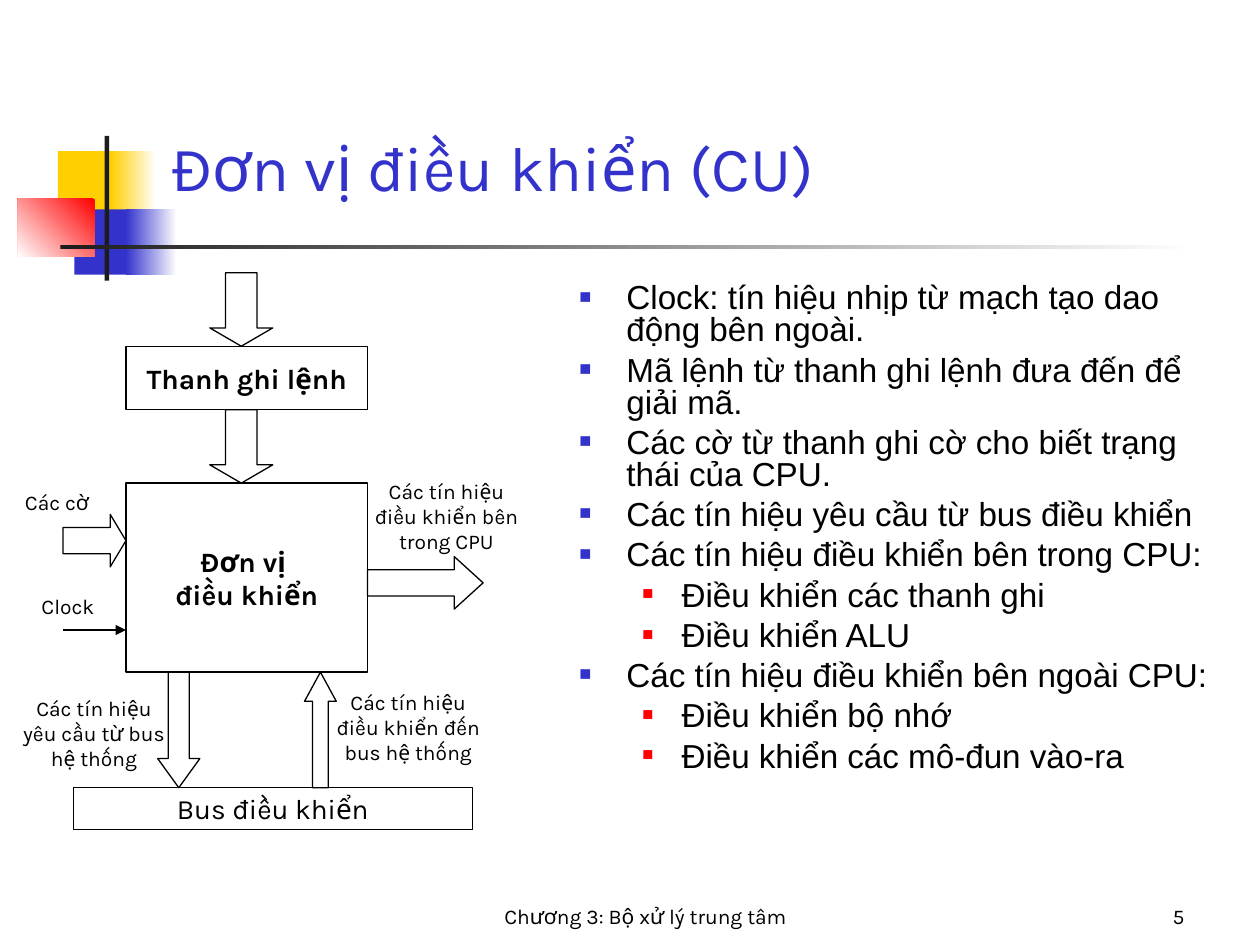
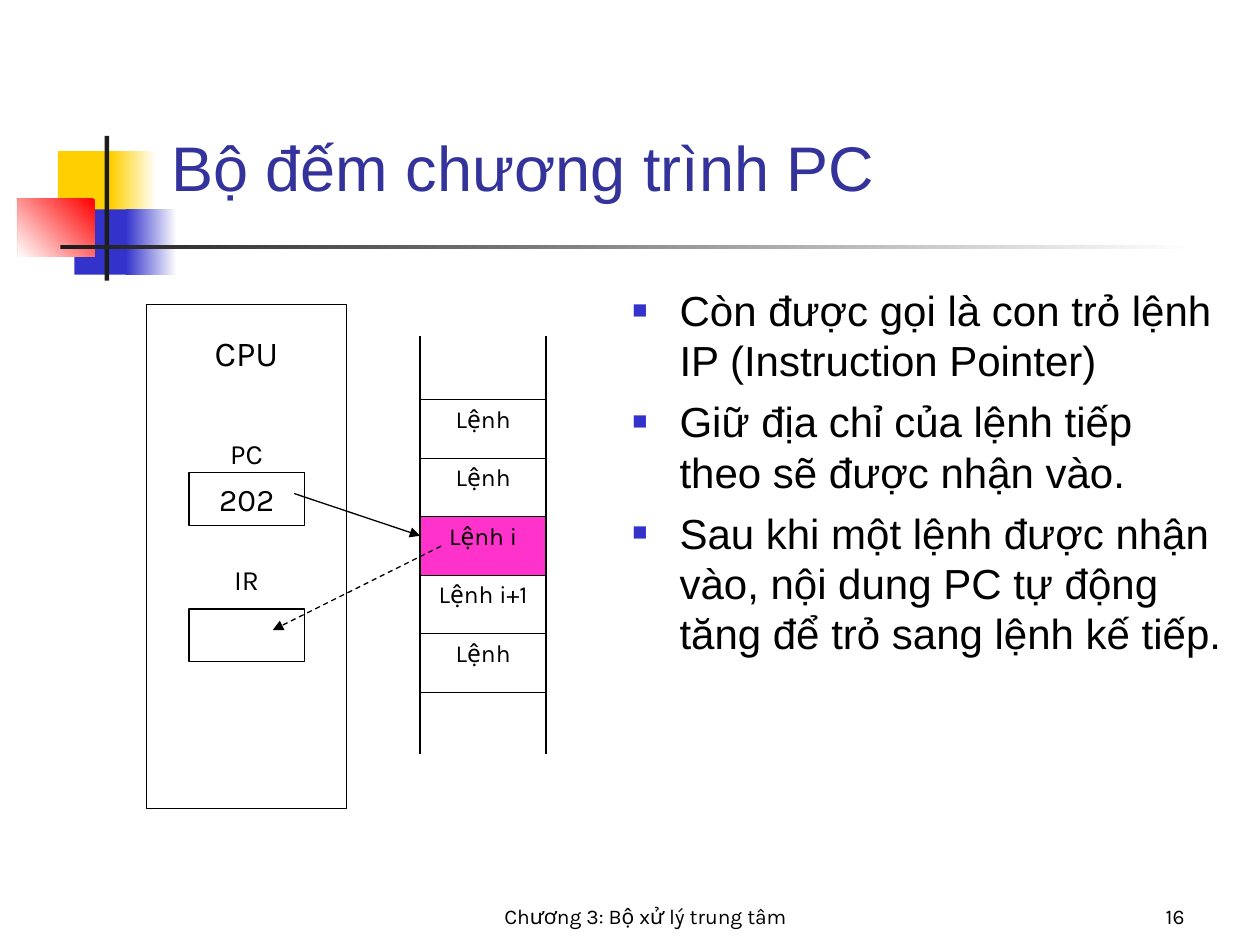
"""Build two lecture slides on the control unit and the program counter."""
from lxml.etree import SubElement
from pptx import Presentation
from pptx.dml.color import RGBColor
from pptx.enum.dml import MSO_LINE
from pptx.enum.shapes import MSO_CONNECTOR, MSO_SHAPE
from pptx.enum.text import MSO_ANCHOR, MSO_AUTO_SIZE, PP_ALIGN
from pptx.oxml.ns import qn
from pptx.util import Cm, Pt

BLACK = RGBColor(0x00, 0x00, 0x00)
WHITE = RGBColor(0xFF, 0xFF, 0xFF)
CHARCOAL = RGBColor(0x1C, 0x1C, 0x1C)
YELLOW = RGBColor(0xFF, 0xCF, 0x01)
BLUE = RGBColor(0x33, 0x33, 0xCC)
NAVY = RGBColor(0x33, 0x33, 0x9B)
RED = RGBColor(0xFF, 0x00, 0x00)
PINK = RGBColor(0xFF, 0x33, 0xCC)

DIAGRAM_FONT = "Karla"
BODY_FONT = "Arial"
CHAPTER = "Chương 3: Bộ xử lý trung tâm"

# Left margin and hanging indent in cm, bullet colour, bullet size in percent
BULLET_LEVELS = [(0.95, 0.95, BLUE, 60), (2.06, 0.79, RED, 55)]

# Box in cm, colour, gradient angle (None for a solid fill)
ORNAMENTS = [
    ((1.17, 3.05, 1.22, 1.32), YELLOW, None),
    ((2.24, 3.05, 0.91, 1.32), YELLOW, 0),
    ((1.5, 4.22, 1.17, 1.32), BLUE, None),
    ((2.54, 4.22, 1.02, 1.32), BLUE, 0),
    ((0.36, 4.01, 1.55, 1.17), RED, 225),
    ((2.11, 2.74, 0.09, 2.92), CHARCOAL, None),
    ((1.22, 4.94, 22.86, 0.09), CHARCOAL, 0),
]


def to_cm(values):
    """Turn plain numbers into lengths."""
    return [Cm(value) for value in values]


def style_font(paragraph, size, name=DIAGRAM_FONT, color=BLACK, bold=False):
    """Set the font of a whole paragraph."""
    font = paragraph.font
    font.size, font.name, font.bold = Pt(size), name, bold
    font.color.rgb = color


def write(frame, text, size, align=PP_ALIGN.CENTER, bold=False):
    """Put diagram text, one paragraph a line, into a frame."""
    frame.text = text
    for paragraph in frame.paragraphs:
        paragraph.alignment = align
        style_font(paragraph, size, bold=bold)


def add_ornament(slide, box, color, angle):
    """Draw one borderless bar, solid or fading to white."""
    bar = slide.shapes.add_shape(MSO_SHAPE.RECTANGLE, *to_cm(box))
    bar.shadow.inherit = False
    bar.line.fill.background()
    if angle is None:
        bar.fill.solid()
        bar.fill.fore_color.rgb = color
    else:
        bar.fill.gradient()
        bar.fill.gradient_angle = angle
        for stop, stop_color in zip(bar.fill.gradient_stops, (color, WHITE)):
            stop.color.rgb = stop_color


def add_block(slide, box, text="", size=16, bold=False,
              form=MSO_SHAPE.RECTANGLE, head=None):
    """Draw a white outlined box or block arrow."""
    block = slide.shapes.add_shape(form, *to_cm(box))
    block.shadow.inherit = False
    block.fill.solid()
    block.fill.fore_color.rgb = WHITE
    block.line.color.rgb = BLACK
    block.line.width = Pt(0.75)
    if head is not None:
        block.adjustments[1] = head
    if text:
        block.text_frame.word_wrap = False
        block.text_frame.vertical_anchor = MSO_ANCHOR.MIDDLE
        write(block.text_frame, text, size, bold=bold)


def add_label(slide, box, text, size=12, align=PP_ALIGN.CENTER,
              anchor=MSO_ANCHOR.TOP):
    """Add a plain text label."""
    frame = slide.shapes.add_textbox(*to_cm(box)).text_frame
    frame.word_wrap = True
    frame.vertical_anchor = anchor
    write(frame, text, size, align)


def add_arrow(slide, start, end, dash=None):
    """Draw a thin arrow from start to end."""
    arrow = slide.shapes.add_connector(
        MSO_CONNECTOR.STRAIGHT, *to_cm(start + end))
    arrow.line.color.rgb = BLACK
    arrow.line.width = Pt(0.75)
    if dash is not None:
        arrow.line.dash_style = dash
    properties = arrow._element.spPr
    SubElement(properties.find(qn("a:ln")), qn("a:tailEnd"), type="triangle")
    SubElement(properties, qn("a:effectLst"))


def add_bullet(paragraph, level):
    """Give a paragraph the square bullet of its level."""
    margin, hanging, color, percent = BULLET_LEVELS[level]
    paragraph.level = level
    properties = paragraph._p.get_or_add_pPr()
    properties.set("marL", str(Cm(margin)))
    properties.set("indent", str(-Cm(hanging)))
    bullet_color = SubElement(properties, qn("a:buClr"))
    SubElement(bullet_color, qn("a:srgbClr"), val=str(color))
    SubElement(properties, qn("a:buSzPct"), val=str(percent * 1000))
    SubElement(properties, qn("a:buFont"), typeface=BODY_FONT)
    SubElement(properties, qn("a:buChar"), char="■")


def add_bullets(slide, box, points, size, before, spacing=1.0):
    """Add a bulleted list of (level, text) points."""
    frame = slide.shapes.add_textbox(*to_cm(box)).text_frame
    frame.word_wrap = True
    frame.text = "\n".join(text for _, text in points)
    for paragraph, (level, _) in zip(frame.paragraphs, points):
        add_bullet(paragraph, level)
        paragraph.space_before = Pt(before)
        paragraph.line_spacing = spacing
        style_font(paragraph, size, BODY_FONT)


def set_border(cell, side, width):
    """Set one cell edge, with None for no line."""
    edge = SubElement(cell._tc.get_or_add_tcPr(), qn(f"a:ln{side}"))
    if width is None:
        SubElement(edge, qn("a:noFill"))
        return
    edge.set("w", str(Pt(width)))
    fill = SubElement(edge, qn("a:solidFill"))
    SubElement(fill, qn("a:srgbClr"), val=str(BLACK))


def add_memory(slide, corner, width, heights, instructions, current):
    """Add the memory column, open at its top and bottom."""
    table = slide.shapes.add_table(
        len(heights), 1, *to_cm((*corner, width, sum(heights)))).table
    table.first_row = table.horz_banding = False
    last = len(heights) - 1
    for index, (height, text) in enumerate(zip(heights, instructions)):
        table.rows[index].height = Cm(height)
        cell = table.cell(index, 0)
        write(cell.text_frame, text, 14)
        set_border(cell, "L", 1.08)
        set_border(cell, "R", 1.08)
        set_border(cell, "T", 0.45 if index > 0 else None)
        set_border(cell, "B", 0.45 if index < last else None)
        if index == current:
            cell.fill.solid()
            cell.fill.fore_color.rgb = PINK
        else:
            cell.fill.background()


def add_slide(deck, heading, number, font, color):
    """Add a slide with ornaments, title and footer."""
    slide = deck.slides.add_slide(deck.slide_layouts[5])
    for ornament in ORNAMENTS:
        add_ornament(slide, *ornament)
    title = slide.shapes.title
    title.left, title.top, title.width, title.height = to_cm(
        (3.2, 2.54, 21.64, 1.7))
    frame = title.text_frame
    frame.text = heading
    frame.auto_size = MSO_AUTO_SIZE.NONE
    frame.vertical_anchor = MSO_ANCHOR.BOTTOM
    frame.paragraphs[0].alignment = PP_ALIGN.LEFT
    style_font(frame.paragraphs[0], 36, font, color)
    add_label(slide, (5.29, 17.57, 15.45, 1.27), CHAPTER,
              anchor=MSO_ANCHOR.BOTTOM)
    add_label(slide, (21.17, 17.57, 2.96, 1.27), str(number),
              align=PP_ALIGN.RIGHT, anchor=MSO_ANCHOR.BOTTOM)
    return slide


def build_control_unit(deck):
    """Build the control unit slide."""
    slide = add_slide(deck, "Đơn vị điều khiển (CU)", 5, DIAGRAM_FONT, BLUE)
    add_bullets(slide, (11.43, 5.61, 13.44, 11.76), [
        (0, "Clock: tín hiệu nhịp từ mạch tạo dao động bên ngoài."),
        (0, "Mã lệnh từ thanh ghi lệnh đưa đến để giải mã."),
        (0, "Các cờ từ thanh ghi cờ cho biết trạng thái của CPU."),
        (0, "Các tín hiệu yêu cầu từ bus điều khiển"),
        (0, "Các tín hiệu điều khiển bên trong CPU:"),
        (1, "Điều khiển các thanh ghi"),
        (1, "Điều khiển ALU"),
        (0, "Các tín hiệu điều khiển bên ngoài CPU:"),
        (1, "Điều khiển bộ nhớ"),
        (1, "Điều khiển các mô-đun vào-ra"),
    ], 19, 4.8, 0.8)

    add_block(slide, (2.54, 6.99, 4.87, 1.27), "Thanh ghi lệnh", bold=True)
    add_block(slide, (2.54, 9.74, 4.87, 3.81), "Đơn vị \nđiều khiển",
              bold=True)
    add_block(slide, (1.48, 15.88, 8.04, 0.84), "Bus điều khiển")

    for box, form, head in [
        ((4.23, 5.5, 1.27, 1.48), MSO_SHAPE.DOWN_ARROW, 0.29),
        ((4.23, 8.26, 1.27, 1.48), MSO_SHAPE.DOWN_ARROW, 0.29),
        ((7.41, 11.22, 2.33, 1.06), MSO_SHAPE.RIGHT_ARROW, 0.55),
        ((1.27, 10.37, 1.27, 1.06), MSO_SHAPE.RIGHT_ARROW, 0.3),
        ((3.18, 13.55, 0.85, 2.33), MSO_SHAPE.DOWN_ARROW, 0.69),
        ((6.14, 13.55, 0.64, 2.33), MSO_SHAPE.UP_ARROW, 0.92),
    ]:
        add_block(slide, box, form=form, head=head)
    add_arrow(slide, (1.27, 12.7), (2.54, 12.7))

    for box, text in [
        ((0.2, 9.74, 1.9, 0.76), "Các cờ"),
        ((0.42, 11.85, 1.9, 0.76), "Clock"),
        ((0.2, 13.89, 3.39, 1.78), "Các tín hiệu yêu cầu từ bus hệ thống"),
        ((7.2, 9.52, 3.6, 1.78), "Các tín hiệu điều khiển bên trong CPU"),
        ((6.5, 13.77, 3.56, 1.78),
         "Các tín hiệu \nđiều khiển đến \nbus hệ thống "),
    ]:
        add_label(slide, box, text)


def build_program_counter(deck):
    """Build the program counter slide."""
    slide = add_slide(deck, "Bộ đếm chương trình PC", 16, BODY_FONT, NAVY)
    add_bullets(slide, (12.5, 5.61, 12.4, 11.43), [
        (0, "Còn được gọi là con trỏ lệnh IP (Instruction Pointer)"),
        (0, "Giữ địa chỉ của lệnh tiếp theo sẽ được nhận vào."),
        (0, "Sau khi một lệnh được nhận vào, nội dung PC tự động tăng "
            "để trỏ sang lệnh kế tiếp."),
    ], 24, 6)

    add_block(slide, (2.96, 6.14, 4.02, 10.16))
    add_block(slide, (3.81, 9.53, 2.33, 1.06), "202", 18)
    add_block(slide, (3.81, 12.28, 2.33, 1.06))
    for top, text, size in [(6.56, "CPU", 20), (8.68, "PC", 16),
                            (11.22, "IR", 16)]:
        add_label(slide, (4.02, top, 1.9, 0.95), text, size)

    add_memory(slide, (8.47, 6.78), 2.54, [1.27] + [1.18] * 5 + [1.25],
               ["", "Lệnh", "Lệnh", "Lệnh i", "Lệnh i+1", "Lệnh", ""],
               current=3)
    add_arrow(slide, (5.93, 9.95), (8.47, 10.8))
    add_arrow(slide, (8.89, 11.01), (5.5, 12.7), MSO_LINE.DASH)


def main():
    """Create and save the deck."""
    deck = Presentation()
    deck.slide_width, deck.slide_height = Cm(25.4), Cm(19.05)
    build_control_unit(deck)
    build_program_counter(deck)
    deck.save("out.pptx")


if __name__ == "__main__":
    main()
